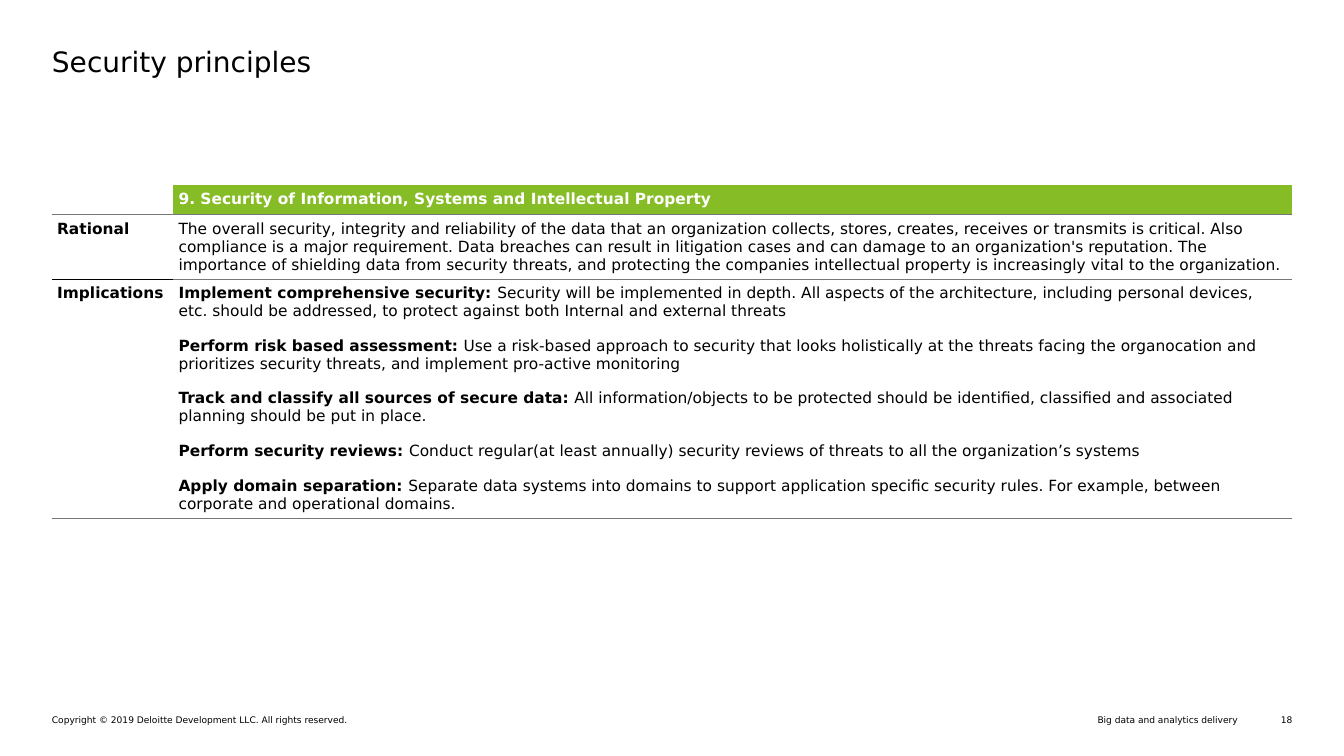
from lxml import etree
from pptx import Presentation
from pptx.dml.color import RGBColor
from pptx.enum.text import MSO_ANCHOR as Anchor, MSO_AUTO_SIZE as AutoSize, PP_ALIGN as Align
from pptx.oxml.ns import qn
from pptx.util import Cm, Pt

FONT = "DejaVu Sans"
BLACK, WHITE, GREEN, GREY = "000000", "FFFFFF", "86BC25", "75787B"
GREY_RULE, BLACK_RULE = (GREY, 0.5), (BLACK, 0.25)
MARGIN, CONTENT_WIDTH = 1.31, 31.26

HEADING = "9. Security of Information, Systems and Intellectual Property"
RATIONALE = (
    "The overall security, integrity and reliability of the data that an organization collects, "
    "stores, creates, receives or transmits is critical. Also compliance is a major requirement. "
    "Data breaches can result in litigation cases and can damage to an organization's reputation. "
    "The importance of shielding data from security threats, and protecting the companies "
    "intellectual property is increasingly vital to the organization."
)
IMPLICATIONS = [
    ("Implement comprehensive security: ",
     "Security will be implemented in depth. All aspects of the architecture, including personal "
     "devices, etc. should be addressed, to protect against both Internal and external threats"),
    ("Perform risk based assessment:",
     " Use a risk-based approach to security that looks holistically at the threats facing the "
     "organocation and prioritizes security threats, and implement pro-active monitoring"),
    ("Track and classify all sources of secure data:",
     " All information/objects to be protected should be identified, classified and associated "
     "planning should be put in place."),
    ("Perform security reviews: ",
     "Conduct regular(at least annually) security reviews of threats to all the organization’s "
     "systems"),
    ("Apply domain separation: ",
     "Separate data systems into domains to support application specific security rules. "
     "For example, between corporate and operational domains."),
]


def color(hex_code):
    return RGBColor.from_string(hex_code)


def add_run(paragraph, text, size, hex_code=BLACK, bold=False):
    run = paragraph.add_run()
    run.text = text
    font = run.font
    font.name, font.size, font.bold = FONT, Pt(size), bold
    font.color.rgb = color(hex_code)


def prepare_frame(frame):
    """Strip the insets and pin the text to the top of its box."""
    frame.margin_left = frame.margin_right = frame.margin_top = frame.margin_bottom = 0
    frame.word_wrap = True
    frame.auto_size = AutoSize.NONE
    frame.vertical_anchor = Anchor.TOP


def place_title(slide, text, left, top, width, height):
    title = slide.shapes.title
    title.left, title.top, title.width, title.height = Cm(left), Cm(top), Cm(width), Cm(height)
    prepare_frame(title.text_frame)
    paragraph = title.text_frame.paragraphs[0]
    paragraph.alignment = Align.LEFT
    add_run(paragraph, text, 20)


def set_borders(cell, top, bottom):
    """Draw the horizontal rules given as (colour, points) and hide the other sides."""
    properties = cell._tc.get_or_add_tcPr()
    for side, rule in (("lnL", None), ("lnR", None), ("lnT", top), ("lnB", bottom)):
        line = etree.SubElement(properties, qn(f"a:{side}"))
        if rule is None:
            etree.SubElement(line, qn("a:noFill"))
        else:
            hex_code, points = rule
            line.set("w", str(Pt(points)))
            fill = etree.SubElement(line, qn("a:solidFill"))
            etree.SubElement(fill, qn("a:srgbClr"), val=hex_code)


def fill_cell(cell, entries, text_color=BLACK, fill=None, top=None, bottom=None, after=0):
    """Write one paragraph per (bold lead, plain text) entry."""
    set_borders(cell, top, bottom)
    if fill:
        cell.fill.solid()
        cell.fill.fore_color.rgb = color(fill)
    else:
        cell.fill.background()
    cell.margin_left = cell.margin_right = cell.margin_top = cell.margin_bottom = Cm(0.13)
    cell.vertical_anchor = Anchor.TOP
    frame = cell.text_frame
    for index, (lead, body) in enumerate(entries):
        paragraph = frame.add_paragraph() if index else frame.paragraphs[0]
        paragraph.space_after = Pt(after)
        if lead:
            add_run(paragraph, lead, 11, text_color, bold=True)
        if body:
            add_run(paragraph, body, 11, text_color)
    if not entries:
        # An empty cell would otherwise stretch its row to the default text size.
        etree.SubElement(frame.paragraphs[0]._p, qn("a:endParaRPr"), sz="1100")


def place_principle_table(slide, left, top, width):
    row_heights, label_width = (0.71, 1.62, 6.02), 3.06
    table = slide.shapes.add_table(
        3, 2, Cm(left), Cm(top), Cm(width), Cm(sum(row_heights))).table
    table.first_row = table.horz_banding = False
    for column, column_width in zip(table.columns, (label_width, width - label_width)):
        column.width = Cm(column_width)
    for row, height in zip(table.rows, row_heights):
        row.height = Cm(height)

    fill_cell(table.cell(0, 0), [], bottom=GREY_RULE)
    fill_cell(table.cell(0, 1), [(HEADING, "")], WHITE, GREEN, bottom=GREY_RULE)
    body_rows = [
        ("Rational", [("", RATIONALE)], GREY_RULE, BLACK_RULE),
        ("Implications", IMPLICATIONS, BLACK_RULE, GREY_RULE),
    ]
    for row, (label, entries, label_top, label_bottom) in enumerate(body_rows, start=1):
        fill_cell(table.cell(row, 0), [(label, "")], fill=WHITE,
                  top=label_top, bottom=label_bottom)
        fill_cell(table.cell(row, 1), entries, top=GREY_RULE, bottom=GREY_RULE, after=12)


def place_footer(slide, left, top, width):
    height, number_width = 0.28, 0.86
    right = left + width
    parts = [
        ("Copyright © 2019 Deloitte Development LLC. All rights reserved.", left, 14.88, Align.LEFT),
        ("Big data and analytics delivery", right - 14.96, 13.59, Align.RIGHT),
        ("18", right - number_width, number_width, Align.RIGHT),
    ]
    for text, part_left, part_width, alignment in parts:
        frame = slide.shapes.add_textbox(
            Cm(part_left), Cm(top), Cm(part_width), Cm(height)).text_frame
        prepare_frame(frame)
        frame.paragraphs[0].alignment = alignment
        add_run(frame.paragraphs[0], text, 6.5)


def main():
    deck = Presentation()
    deck.slide_width, deck.slide_height = Cm(33.87), Cm(19.05)
    slide = deck.slides.add_slide(deck.slide_layouts.get_by_name("Title Only"))
    place_title(slide, "Security principles", MARGIN, 1.12, CONTENT_WIDTH, 1.93)
    place_principle_table(slide, MARGIN, 4.67, CONTENT_WIDTH)
    place_footer(slide, MARGIN, 18, CONTENT_WIDTH)
    deck.save("out.pptx")


if __name__ == "__main__":
    main()
